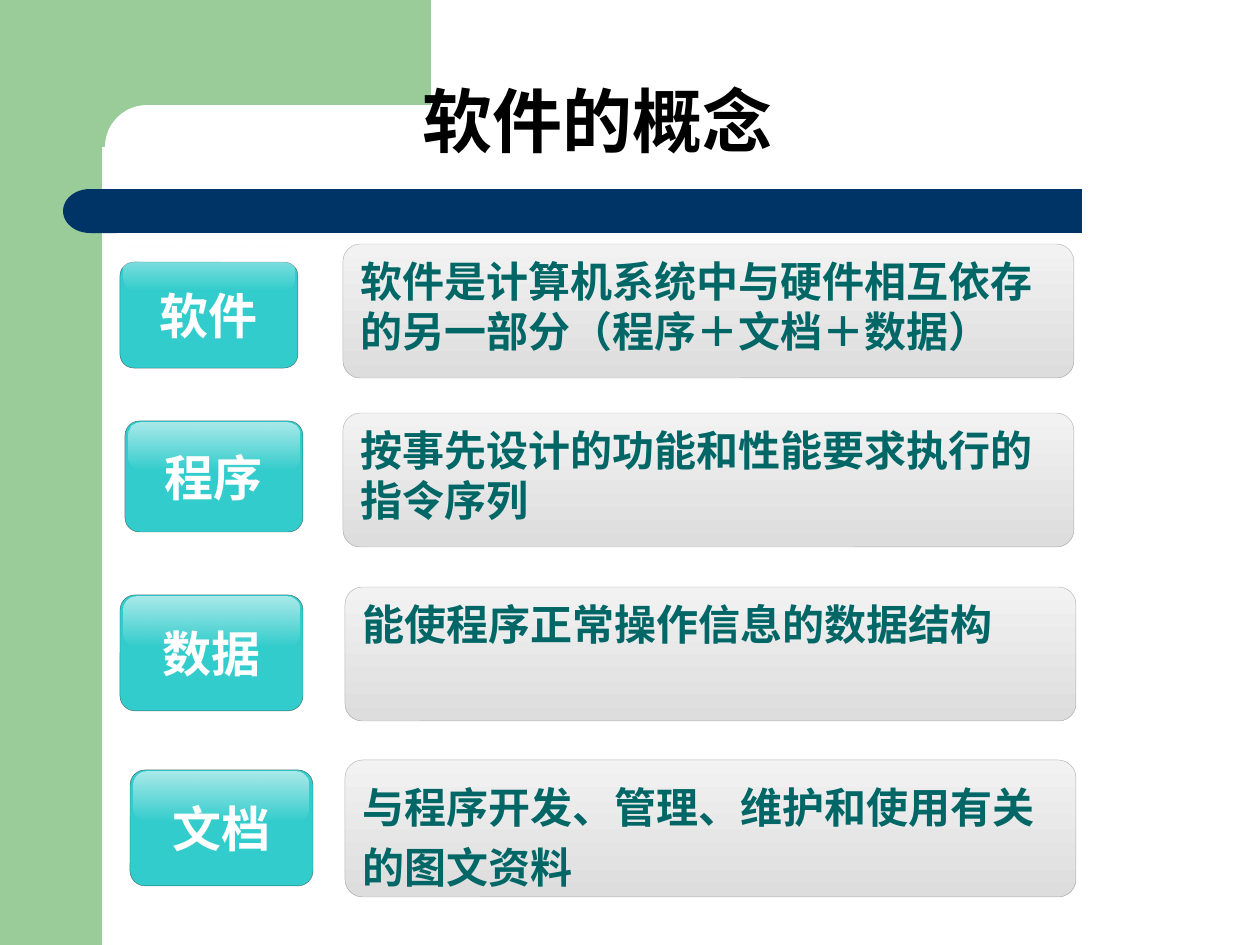
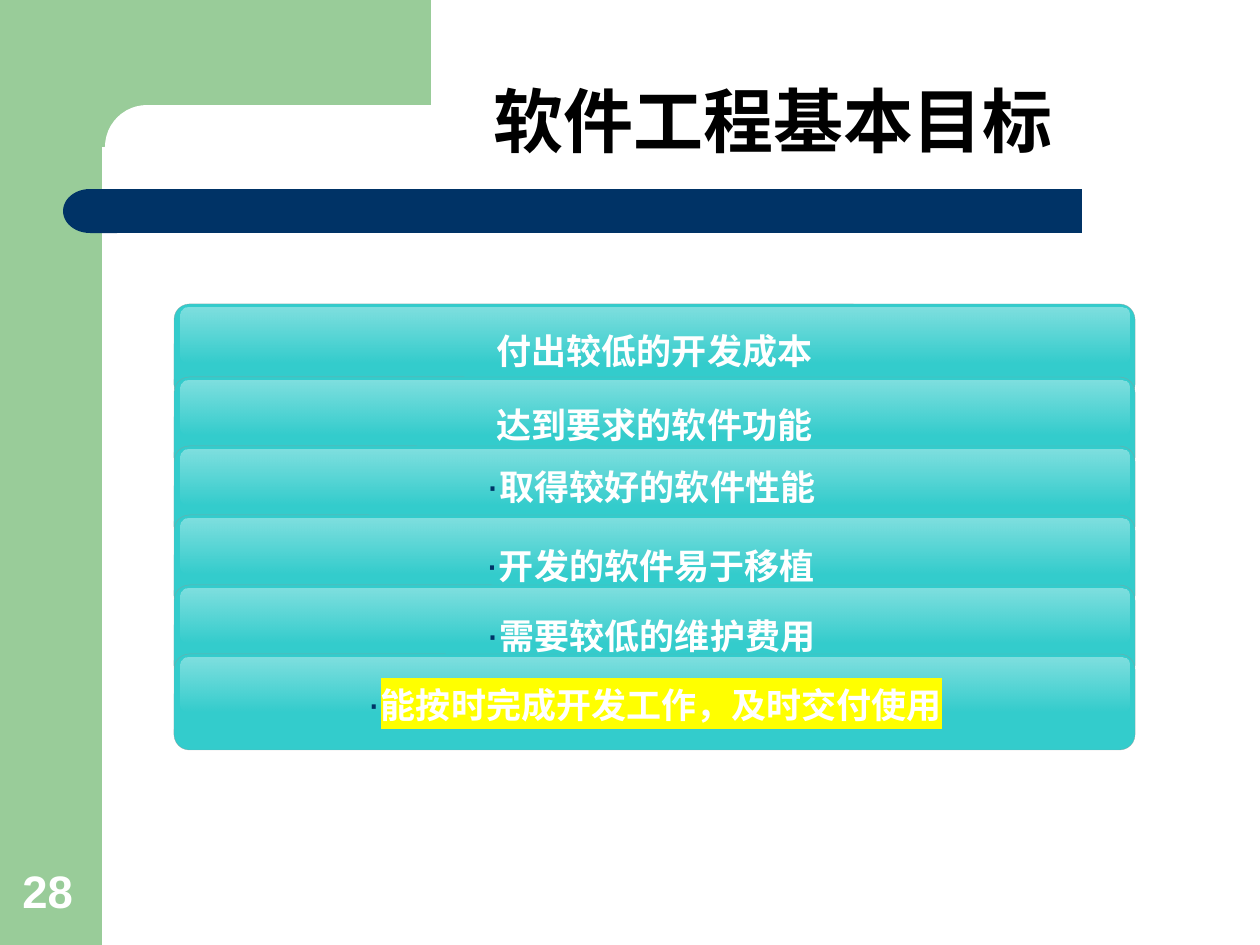
from lxml import etree
from pptx import Presentation
from pptx.dml.color import RGBColor
from pptx.enum import lang, shapes, text
from pptx.oxml import ns
from pptx import util as u

EMU_PER_PX = 914400 / 126
SLIDE_SIZE = (1260, 945)

GREEN = RGBColor(0x99, 0xCC, 0x99)
NAVY = RGBColor(0x00, 0x33, 0x66)
TURQUOISE = RGBColor(0x33, 0xCC, 0xCC)
TEAL = RGBColor(0x00, 0x66, 0x66)
WHITE = RGBColor(0xFF, 0xFF, 0xFF)
BLACK = RGBColor(0x00, 0x00, 0x00)
YELLOW = RGBColor(0xFF, 0xFF, 0x00)
CHARCOAL = RGBColor(0x1C, 0x1C, 0x1C)
GREY = RGBColor(0x96, 0x96, 0x96)
PANEL_TOP = RGBColor(0xF2, 0xF2, 0xF2)
PANEL_BOTTOM = RGBColor(0xDD, 0xDD, 0xDD)

SHAPE = shapes.MSO_SHAPE
ANCHOR = text.MSO_ANCHOR
ALIGN = text.PP_ALIGN


def style(size, color, bold=True, name="Arial"):
    return {"size": u.Pt(size), "bold": bold, "name": name, "color": color}


TITLE = style(40, BLACK, name="Noto Sans Mono")
PAGE_NUMBER = style(26, WHITE)
TERM = style(28, WHITE)
DEFINITION = style(24, TEAL)
GOAL = style(20, WHITE)
DOT = style(24, NAVY, bold=False)

CONCEPTS = [
    ("软件", (120, 262, 178, 106), -18,
     "软件是计算机系统中与硬件相互依存的另一部分（程序＋文档＋数据）", (343, 244, 731, 134), 1.0),
    ("程序", (125, 421, 178, 111), 2,
     "按事先设计的功能和性能要求执行的指令序列", (343, 413, 731, 134), 1.0),
    ("数据", (120, 595, 183, 116), 2,
     "能使程序正常操作信息的数据结构", (345, 587, 731, 134), 1.0),
    ("文档", (130, 770, 183, 116), 2,
     "与程序开发、管理、维护和使用有关的图文资料", (345, 760, 731, 137), 1.2),
]

GOALS = [
    (304, 5, [("付出较低的开发成本", GOAL)]),
    (377, 6, [("达到要求的软件功能", GOAL)]),
    (446, -4, [("·", DOT), ("取得较好的软件性能 ", GOAL)]),
    (515, 6, [("·", DOT), ("开发的软件易于移植", GOAL), (" ", DOT)]),
    (585, 6, [("·", DOT), ("需要较低的维护费用 ", GOAL)]),
    (654, 6, [("·", DOT), ("能按时完成开发工作，及时交付使用", {**GOAL, "highlight": YELLOW})]),
]


def px(value):
    return round(value * EMU_PER_PX)


def set_alpha(color_element, percent):
    alpha = etree.SubElement(color_element, ns.qn("a:alpha"))
    alpha.set("val", str(percent * 1000))


def add_highlight(span, color):
    properties = span.font._element
    highlight = etree.Element(ns.qn("a:highlight"))
    etree.SubElement(highlight, ns.qn("a:srgbClr")).set("val", str(color))
    properties.find(ns.qn("a:solidFill")).addnext(highlight)


def write(box, spans, anchor=ANCHOR.TOP, align=ALIGN.LEFT, spacing=1.0, indent=0):
    frame = box.text_frame
    frame.word_wrap = True
    frame.vertical_anchor = anchor
    para = frame.paragraphs[0]
    para.alignment = align
    para.line_spacing = spacing
    if indent:
        properties = para._p.get_or_add_pPr()
        properties.set("marL", str(px(indent)))
        properties.set("indent", "0")
    for words, look in spans:
        span = para.add_run()
        span.text = words
        span.font.language_id = lang.MSO_LANGUAGE_ID.SIMPLIFIED_CHINESE
        for key, value in look.items():
            if key == "color":
                span.font.color.rgb = value
            elif key == "highlight":
                add_highlight(span, value)
            else:
                setattr(span.font, key, value)


def add_text(page, bounds, spans, **layout):
    box = page.shapes.add_textbox(*map(px, bounds))
    write(box, spans, **layout)


def add_block(page, kind, bounds, fill=None, gradient=None, alphas=(), line=None,
              line_alpha=100, corner=None):
    block = page.shapes.add_shape(kind, *map(px, bounds))
    block.shadow.inherit = False
    if corner is not None:
        block.adjustments[0] = corner
    if gradient:
        block.fill.gradient()
        block.fill.gradient_angle = 270
        for stop, color in zip(block.fill.gradient_stops, gradient):
            stop.color.rgb = color
        colors = list(block._element.spPr.iter(ns.qn("a:srgbClr")))
        for element, alpha in zip(colors, alphas):
            set_alpha(element, alpha)
    else:
        block.fill.solid()
        block.fill.fore_color.rgb = fill
    if line is None:
        block.line.fill.background()
    else:
        block.line.color.rgb = line
        block.line.width = u.Pt(0.25)
        outline = block._element.spPr.find(ns.qn("a:ln"))
        set_alpha(next(outline.iter(ns.qn("a:srgbClr"))), line_alpha)
    return block


def add_gloss(page, bounds, alpha, corner):
    add_block(page, SHAPE.ROUNDED_RECTANGLE, bounds, gradient=(WHITE, WHITE),
              alphas=(alpha, 0), corner=corner)


def add_frame(page, title, indent):
    add_block(page, SHAPE.RECTANGLE, (0, 0, 102, 945), GREEN)
    add_block(page, SHAPE.RECTANGLE, (92, 0, 339, 147), GREEN)
    add_block(page, SHAPE.ROUNDED_RECTANGLE, (105, 105, 703, 84), WHITE, corner=0.5)
    add_block(page, SHAPE.RECTANGLE, (116, 189, 966, 44), NAVY)
    cap = add_block(page, SHAPE.FLOWCHART_DELAY, (63, 189, 54, 44), NAVY)
    cap.rotation = 180
    add_text(page, (126, 53, 1103, 116), [(title, TITLE)],
             anchor=ANCHOR.BOTTOM, spacing=0.9, indent=indent)


def add_term(page, bounds, term, gloss_offset):
    left, top, width, height = bounds
    tile = add_block(page, SHAPE.ROUNDED_RECTANGLE, bounds, TURQUOISE,
                     line=CHARCOAL, line_alpha=57, corner=0.13)
    write(tile, [(term, TERM)], anchor=ANCHOR.MIDDLE, align=ALIGN.CENTER)
    add_gloss(page, (left + 4, top + gloss_offset, width - 8, round(height * 0.42)), 59, 0.26)


def add_definition(page, bounds, definition, spacing):
    panel = add_block(page, SHAPE.ROUNDED_RECTANGLE, bounds,
                      gradient=(PANEL_TOP, PANEL_BOTTOM), line=GREY, line_alpha=67, corner=0.13)
    write(panel, [(definition, DEFINITION)], spacing=spacing)


def add_goal(page, bounds, text_offset, spans):
    left, top, width, height = bounds
    add_block(page, SHAPE.ROUNDED_RECTANGLE, bounds, TURQUOISE,
              line=GREY, line_alpha=57, corner=0.16)
    add_gloss(page, (left + 6, top + 4, width - 12, 54), 38, 0.14)
    add_text(page, (left, top + text_offset, width, height - 13), spans,
             anchor=ANCHOR.MIDDLE, align=ALIGN.CENTER)


def build_concepts(page):
    add_frame(page, "软件的概念", 284)
    for term, tile, gloss_offset, definition, panel, spacing in CONCEPTS:
        add_term(page, tile, term, gloss_offset)
        add_definition(page, panel, definition, spacing)


def build_goals(page):
    add_frame(page, "软件工程基本目标", 355)
    add_text(page, (10, 857, 81, 67), [("28", PAGE_NUMBER)], anchor=ANCHOR.BOTTOM)
    for top, text_offset, spans in GOALS:
        add_goal(page, (174, top, 961, 96), text_offset, spans)


def main():
    deck = Presentation()
    deck.slide_width, deck.slide_height = map(px, SLIDE_SIZE)
    blank = deck.slide_layouts[6]
    for build in (build_concepts, build_goals):
        build(deck.slides.add_slide(blank))
    deck.save("out.pptx")


if __name__ == "__main__":
    main()
